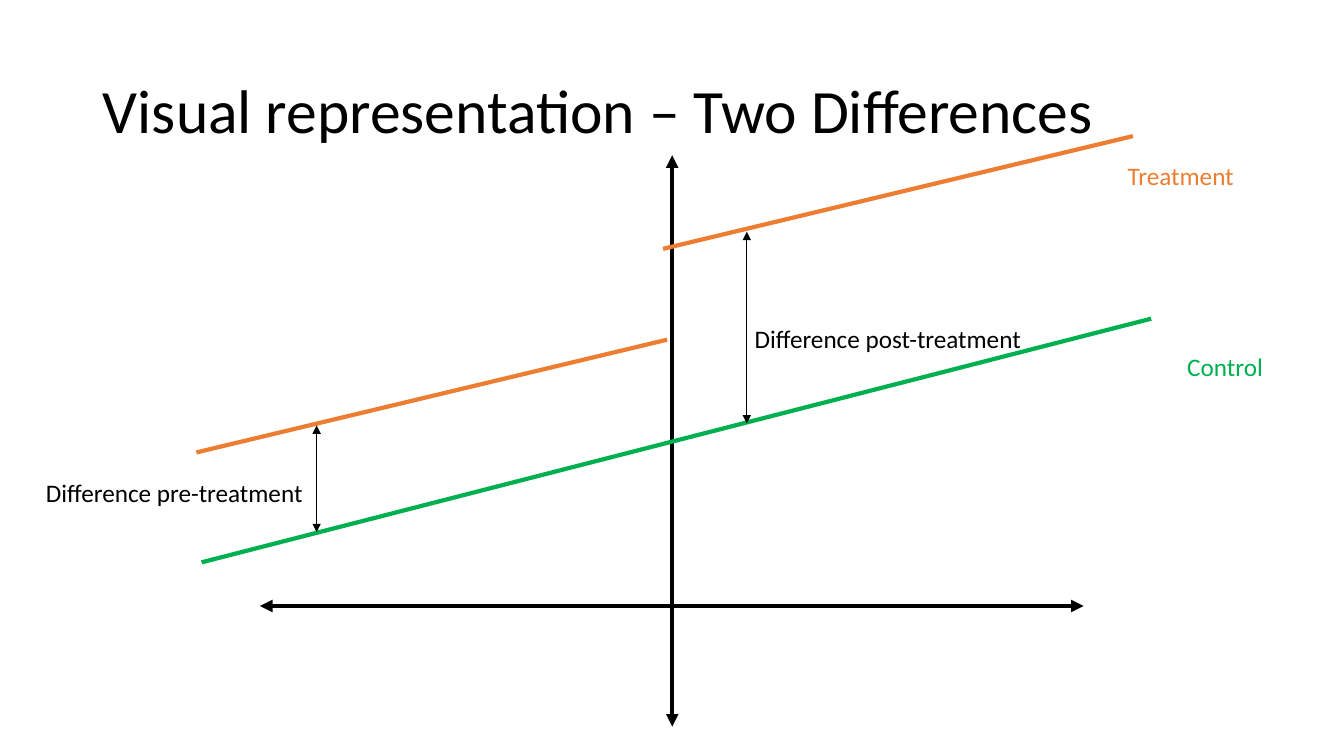
from dataclasses import dataclass
from lxml.etree import SubElement
from pptx import Presentation
from pptx.dml.color import RGBColor as Rgb
from pptx.enum.shapes import MSO_CONNECTOR as Conn
from pptx.enum.text import MSO_ANCHOR as Anchor, MSO_AUTO_SIZE as Fit, PP_ALIGN as Align
from pptx.oxml.ns import qn
from pptx.util import Cm, Pt


@dataclass(frozen=True)
class Theme:
    font: str = "Calibri"
    ink: str = "000000"
    treat: str = "ED7D31"
    control: str = "00B050"
    title: int = 44
    label: int = 18
    thick: float = 3
    thin: float = 1


theme = Theme()

# Content: lengths in cm
TITLE = "Visual representation – Two Differences"
TITLE_BOX = (2.34, 1.02, 29.21, 3.68)
# Lines: start x, start y, end x, end y
AXES = [(6.55, 15.27, 27.31, 15.27), (16.94, 18.31, 16.94, 3.91)]
TRENDS = [
    ((4.95, 11.4, 16.81, 8.56), theme.treat),
    ((16.71, 6.27, 28.55, 3.43), theme.treat),
    ((5.08, 14.17, 29.01, 8.03), theme.control),
]
GAPS = [(7.98, 10.72, 7.98, 13.41), (18.82, 5.84, 18.82, 10.67)]
# Labels: text, left, top, width, colour
LABELS = [
    ("Control", 29.67, 8.74, 2.44, theme.control),
    ("Treatment", 28.17, 3.91, 3.23, theme.treat),
    ("Difference pre-treatment", 0.91, 11.91, 7.06, theme.ink),
    ("Difference post-treatment", 18.77, 8.03, 7.32, theme.ink),
]
LABEL_H = 1.02


def style(para, size, color):
    para.alignment = Align.LEFT
    para.font.name = theme.font
    para.font.size = Pt(size)
    para.font.color.rgb = Rgb.from_string(color)


def draw(shapes, ends, color, width, arrows=False):
    line = shapes.add_connector(Conn.STRAIGHT, *map(Cm, ends))
    line.line.color.rgb = Rgb.from_string(color)
    line.line.width = Pt(width)
    if arrows:
        outline = line.line._get_or_add_ln()
        for end in ("a:headEnd", "a:tailEnd"):
            SubElement(outline, qn(end), type="triangle")
    SubElement(line._element.spPr, qn("a:effectLst"))


def write(shapes, text, left, top, width, color):
    box = shapes.add_textbox(*map(Cm, (left, top, width, LABEL_H)))
    frame = box.text_frame
    frame.word_wrap = False
    frame.auto_size = Fit.SHAPE_TO_FIT_TEXT
    frame.text = text
    style(frame.paragraphs[0], theme.label, color)


def main():
    deck = Presentation()
    deck.slide_width, deck.slide_height = Cm(33.87), Cm(19.05)
    slide = deck.slides.add_slide(deck.slide_layouts[5])
    shapes = slide.shapes

    # Title
    title = shapes.title
    title.left, title.top, title.width, title.height = map(Cm, TITLE_BOX)
    frame = title.text_frame
    frame.text = TITLE
    frame.vertical_anchor = Anchor.MIDDLE
    frame.paragraphs[0].line_spacing = 0.9
    style(frame.paragraphs[0], theme.title, theme.ink)

    # Axes
    cross = shapes.add_group_shape().shapes
    for ends in AXES:
        draw(cross, ends, theme.ink, theme.thick, arrows=True)

    # Trend lines and the gaps between them
    for ends, color in TRENDS:
        draw(shapes, ends, color, theme.thick)
    for ends in GAPS:
        draw(shapes, ends, theme.ink, theme.thin, arrows=True)

    # Labels
    for label in LABELS:
        write(shapes, *label)

    deck.save("out.pptx")


if __name__ == "__main__":
    main()
